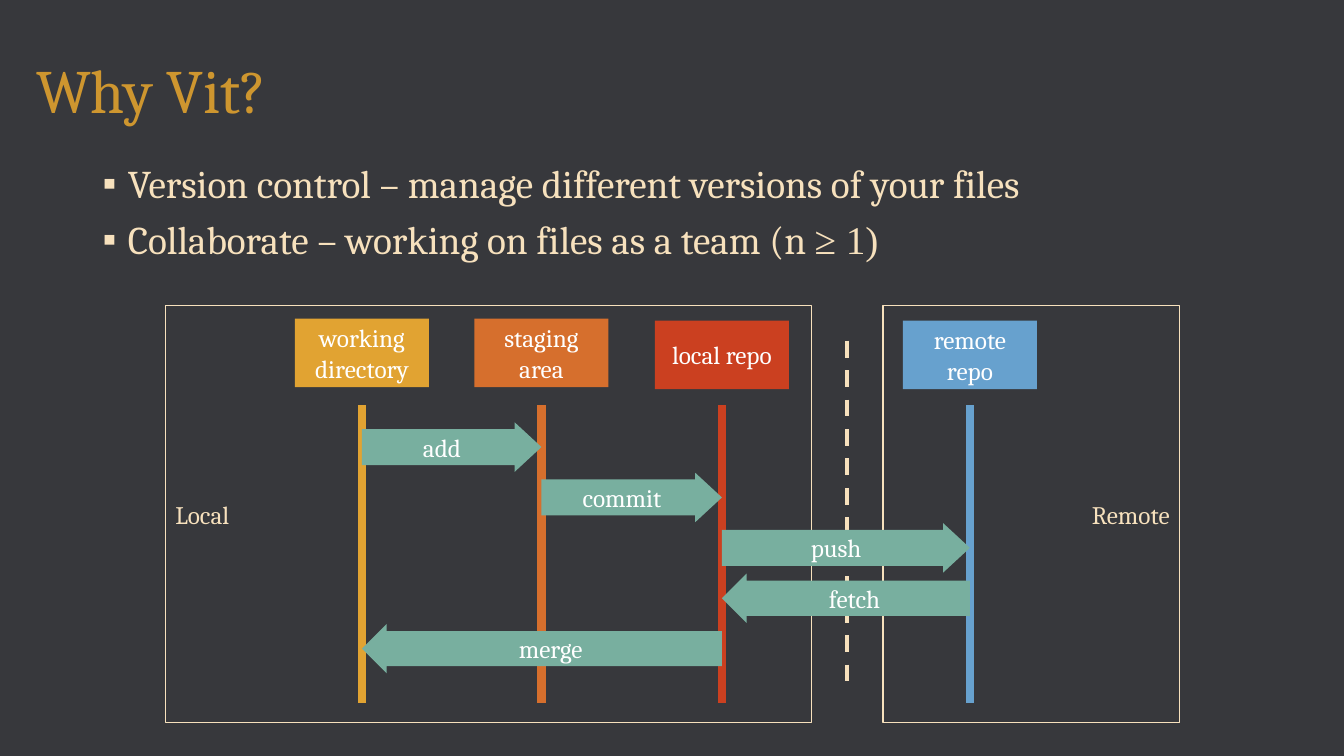
import pptx
import pptx.util
import pptx.dml.color
import pptx.enum.dml
import pptx.enum.shapes
import pptx.enum.text
import pptx.oxml.ns
import lxml.etree

Inches, Pt = pptx.util.Inches, pptx.util.Pt
RGB = pptx.dml.color.RGBColor.from_string
SHAPE = pptx.enum.shapes.MSO_SHAPE
ALIGN = pptx.enum.text.PP_ALIGN
qn = pptx.oxml.ns.qn

COLORS = {
    "background": "37383C", "title": "CE962F", "cream": "F7E1BD",
    "white": "FFFFFF", "working": "E1A332", "staging": "D66F2D",
    "local": "CB4020", "remote": "67A1CE", "arrow": "78AF9F",
}


def write(s, paragraphs, size=18, color="white", align=ALIGN.LEFT,
          middle=True, spacing=None, before=None, bullet=None):
    tf = s.text_frame
    tf.word_wrap = True
    anchor = pptx.enum.text.MSO_ANCHOR
    tf.vertical_anchor = anchor.MIDDLE if middle else anchor.TOP
    for i, runs in enumerate(paragraphs):
        p = tf.add_paragraph() if i else tf.paragraphs[0]
        p.alignment = align
        p.line_spacing = spacing
        if before:
            p.space_before = Pt(before)
        if bullet:
            pPr = p._p.get_or_add_pPr()
            pPr.set("marL", str(Inches(0.25)))
            pPr.set("indent", str(-Inches(0.25)))
            lxml.etree.SubElement(pPr, qn("a:buFont")).set("typeface", "Times New Roman")
            lxml.etree.SubElement(pPr, qn("a:buChar")).set("char", bullet)
        for text, font in runs:
            r = p.add_run()
            r.text = text
            r.font.name = font
            r.font.size = Pt(size)
            r.font.color.rgb = RGB(COLORS[color])


def draw_line(x, top, bottom, color, width):
    c = slide.shapes.add_connector(
        pptx.enum.shapes.MSO_CONNECTOR.STRAIGHT,
        Inches(x), Inches(top), Inches(x), Inches(bottom))
    c.line.color.rgb = RGB(COLORS[color])
    c.line.width = Pt(width)
    lxml.etree.SubElement(c._element.spPr, qn("a:effectLst"))
    return c


prs = pptx.Presentation()
prs.slide_width, prs.slide_height = Inches(13.33), Inches(7.5)
slide = prs.slides.add_slide(prs.slide_layouts[6])
slide.background.fill.solid()
slide.background.fill.fore_color.rgb = RGB(COLORS["background"])

title = slide.shapes.add_textbox(Inches(0.26), Inches(0.2), Inches(11.5), Inches(1.45))
write(title, [[("Why Vit?", "Cambria")]], size=44, color="title", spacing=0.9)

body = slide.shapes.add_textbox(Inches(0.92), Inches(1.58), Inches(11.5), Inches(1.3))
write(body, [
    [("Version control – manage different versions of your files", "Cambria")],
    [("Collaborate – working on files as a team (n ", "Cambria"),
     ("≥ 1)", "Times New Roman")],
], size=28, color="cream", middle=False, spacing=0.9, before=10, bullet="▪")

LANES = {"working": 3.59, "staging": 5.37, "local": 7.16, "remote": 9.62}
HEADS = [("working directory", "working", 3.16), ("staging area", "staging", 3.16),
         ("local repo", "local", 3.18), ("remote repo", "remote", 3.18)]
HEAD_W, HEAD_H = 1.33, 0.68
for text, lane, top in HEADS:
    x = LANES[lane]
    s = slide.shapes.add_shape(SHAPE.RECTANGLE, Inches(x - HEAD_W / 2), Inches(top),
                               Inches(HEAD_W), Inches(HEAD_H))
    s.shadow.inherit = False
    s.fill.solid()
    s.fill.fore_color.rgb = RGB(COLORS[lane])
    s.line.fill.background()
    write(s, [[(text, "Cambria")]], align=ALIGN.CENTER)
    draw_line(x, 4.02, 6.97, lane, 6)

divider = draw_line(8.4, 3.38, 6.81, "cream", 3)
divider.line.dash_style = pptx.enum.dml.MSO_LINE.DASH

for text, left, width, align in [("Local", 1.64, 6.41, ALIGN.LEFT),
                                 ("Remote", 8.76, 2.94, ALIGN.RIGHT)]:
    s = slide.shapes.add_shape(SHAPE.RECTANGLE, Inches(left), Inches(3.03),
                               Inches(width), Inches(4.14))
    s.shadow.inherit = False
    s.fill.background()
    s.line.color.rgb = RGB(COLORS["cream"])
    s.line.width = Pt(1)
    write(s, [[(text, "Cambria")]], color="cream", align=align)

STEPS = [("add", "working", "staging"), ("commit", "staging", "local"),
         ("push", "local", "remote"), ("fetch", "remote", "local"),
         ("merge", "local", "working")]
ARROW_TOP, ARROW_STEP, ARROW_H = 4.19, 0.5, 0.49
for row, (text, start, end) in enumerate(STEPS):
    left, right = sorted((LANES[start], LANES[end]))
    forward = LANES[start] < LANES[end]
    s = slide.shapes.add_shape(SHAPE.RIGHT_ARROW if forward else SHAPE.LEFT_ARROW,
                               Inches(left), Inches(ARROW_TOP + row * ARROW_STEP),
                               Inches(right - left), Inches(ARROW_H))
    s.adjustments[0], s.adjustments[1] = (0.73, 0.54) if forward else (0.71, 0.5)
    s.shadow.inherit = False
    s.fill.solid()
    s.fill.fore_color.rgb = RGB(COLORS["arrow"])
    s.line.fill.background()
    write(s, [[(text, "Cambria")]], align=ALIGN.CENTER)

prs.save("out.pptx")
